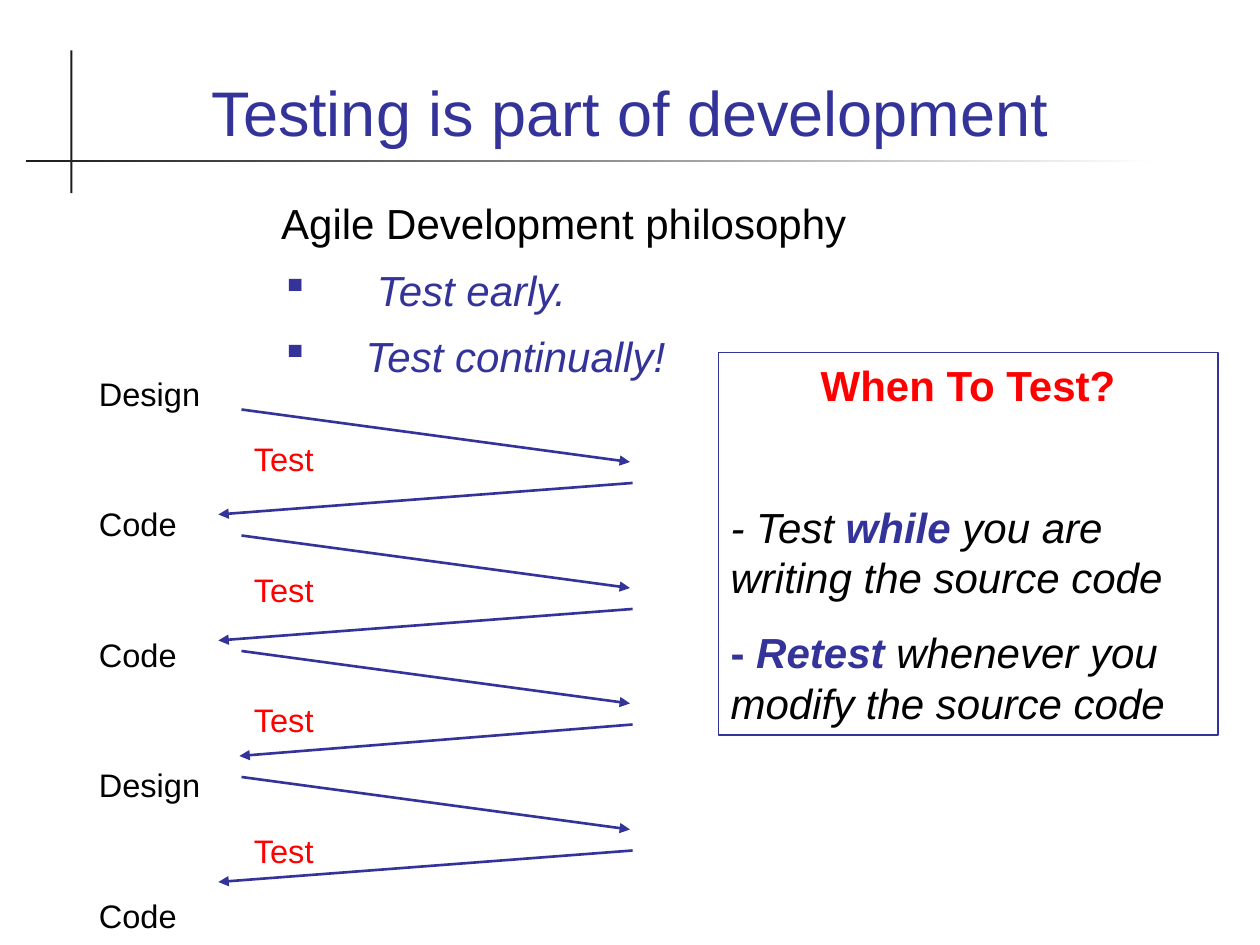
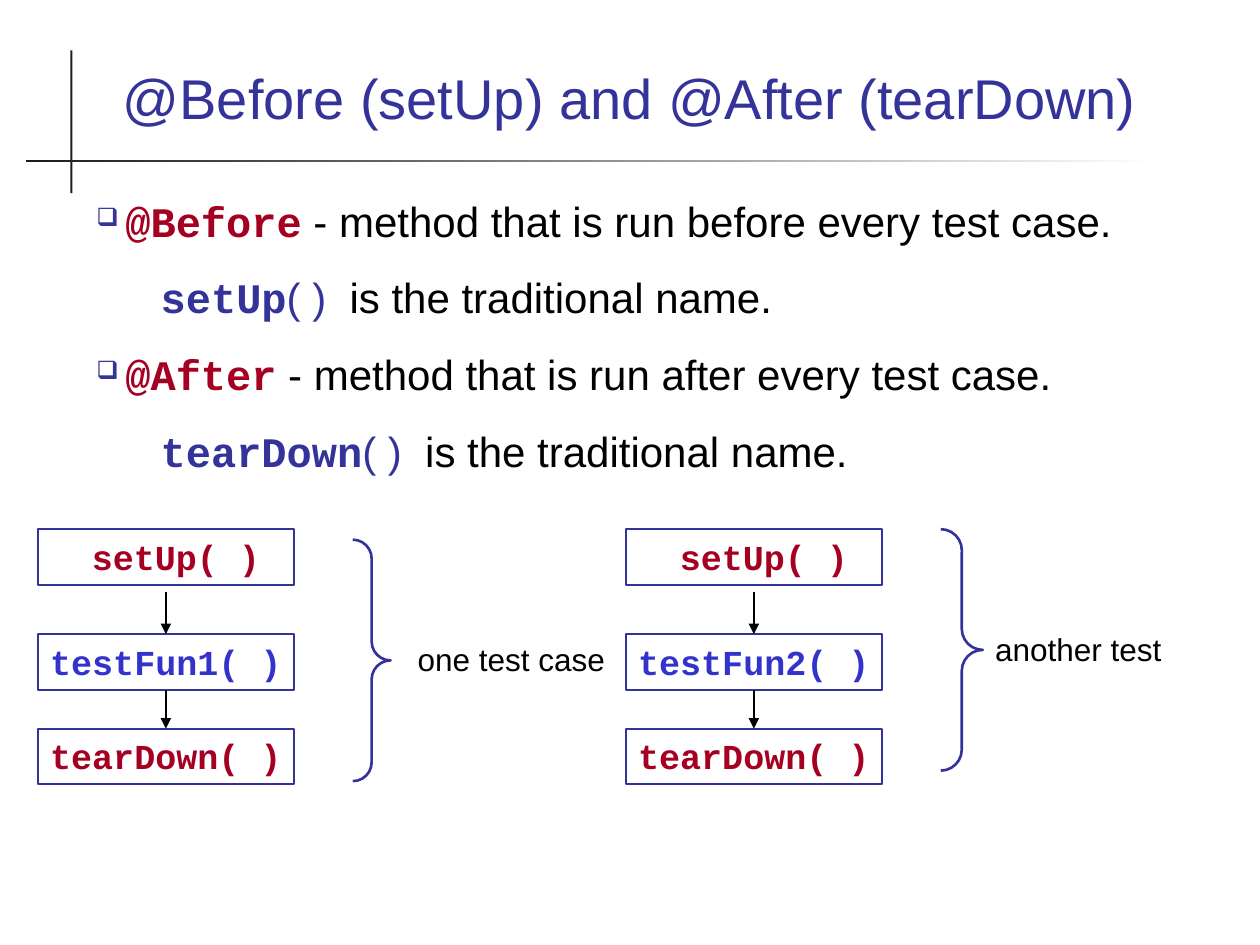
"""Build two slides on testing during development and on test fixtures."""
from dataclasses import dataclass
from typing import NamedTuple, Optional

from lxml import etree
from pptx import Presentation
from pptx.dml.color import RGBColor
from pptx.enum.shapes import MSO_CONNECTOR as Conn, MSO_SHAPE as Shape
from pptx.enum.text import MSO_ANCHOR as Anchor, PP_ALIGN as Align
from pptx.oxml.ns import qn
from pptx.util import Emu, Inches, Pt

COLORS = {
    "ink": "000000", "rule": "1C1C1C", "paper": "FFFFFF", "navy": "333399",
    "blue": "3333CC", "red": "FF0000", "crimson": "A50021",
}
SANS, MONO = "Arial", "Courier New"
COLS, ROWS = 120, 90
WIDTH, HEIGHT = Inches(10), Inches(7.5)


class Box(NamedTuple):
    """Left, top, width and height in grid columns and rows."""
    col: float
    row: float
    cols: float
    rows: float

    def emu(self) -> tuple:
        """Return the box in slide units."""
        return x_at(self.col), y_at(self.row), x_at(self.cols), y_at(self.rows)


class Bullet(NamedTuple):
    """Bullet character and its size in percent of the text."""
    char: str
    percent: int


@dataclass
class Para:
    """Paragraph: (text, format) runs with spacing and indents."""
    runs: list
    align: Align = Align.LEFT
    before: float = 0
    left: float = 0
    hang: float = 0
    bullet: Optional[Bullet] = None


@dataclass
class TestCase:
    """Fixture diagram of one test: its methods, brace and label."""
    col: float
    method: str
    brace: Box
    label: str
    label_box: Box


def x_at(col: float) -> Emu:
    """Convert grid columns to slide units."""
    return Emu(round(WIDTH * col / COLS))


def y_at(row: float) -> Emu:
    """Convert grid rows to slide units."""
    return Emu(round(HEIGHT * row / ROWS))


def rgb(name: str) -> RGBColor:
    """Look up a colour by name."""
    return RGBColor.from_string(COLORS[name])


def add_run(p, text: str, *, size: float = 24, color: str = "ink", font: str = SANS,
            bold: bool = False, italic: bool = False, spacing: float = 0) -> None:
    """Add formatted text to a paragraph."""
    r = p.add_run()
    r.text = text
    f = r.font
    f.size, f.name, f.bold, f.italic = Pt(size), font, bold, italic
    f.color.rgb = rgb(color)
    if spacing:
        f._element.set("spc", str(round(spacing * 100)))


def add_bullet(p_pr, bullet: Bullet) -> None:
    """Give a paragraph a navy bullet."""
    color = etree.SubElement(p_pr, qn("a:buClr"))
    etree.SubElement(color, qn("a:srgbClr"), val=COLORS["navy"])
    etree.SubElement(p_pr, qn("a:buSzPct"), val=str(bullet.percent * 1000))
    etree.SubElement(p_pr, qn("a:buChar"), char=bullet.char)


def fill_text(sp, paras: list, anchor: Anchor = Anchor.TOP) -> None:
    """Write paragraphs into a shape."""
    tf = sp.text_frame
    tf.word_wrap, tf.vertical_anchor = True, anchor
    for i, para in enumerate(paras):
        p = tf.add_paragraph() if i else tf.paragraphs[0]
        p_pr = p._p.get_or_add_pPr()
        p_pr.set("marL", str(Inches(para.left)))
        p_pr.set("indent", str(Inches(-para.hang)))
        if para.bullet:
            add_bullet(p_pr, para.bullet)
        p.alignment = para.align
        if i:
            p.space_before = Pt(para.before)
        for text, fmt in para.runs:
            add_run(p, text, **fmt)


def add_text(s, box: Box, paras: list, anchor: Anchor = Anchor.TOP):
    """Add a text box."""
    sp = s.shapes.add_textbox(*box.emu())
    fill_text(sp, paras, anchor)
    return sp


def add_outline(s, box: Box, width: float, kind: Shape = Shape.RECTANGLE):
    """Add an unfilled shape with a navy line."""
    sp = s.shapes.add_shape(kind, *box.emu())
    sp.shadow.inherit = False
    sp.fill.background()
    sp.line.color.rgb, sp.line.width = rgb("navy"), Pt(width)
    return sp


def add_arrow(s, start: tuple, end: tuple, color: str):
    """Add a line with an arrowhead at its end."""
    c = s.shapes.add_connector(Conn.STRAIGHT, x_at(start[0]), y_at(start[1]),
                               x_at(end[0]), y_at(end[1]))
    c.line.color.rgb, c.line.width = rgb(color), Pt(1.5)
    etree.SubElement(c.line._get_or_add_ln(), qn("a:tailEnd"), type="triangle")
    etree.SubElement(c._element.spPr, qn("a:effectLst"))
    return c


def add_base(prs, title: str, size: float, title_rows: float):
    """Add a slide with the crossed rules and a title."""
    s = prs.slides.add_slide(prs.slide_layouts[6])
    upright, level = (s.shapes.add_shape(Shape.RECTANGLE, *box.emu())
                      for box in (Box(6.7, 4.8, 0.2, 13.6), Box(2.5, 15.24, 107.8, 0.2)))
    for sp in (upright, level):
        sp.shadow.inherit = False
        sp.line.fill.background()
    upright.fill.solid()
    upright.fill.fore_color.rgb = rgb("rule")
    level.fill.gradient()
    level.fill.gradient_angle = 0
    for stop, name in zip(level.fill.gradient_stops, ("rule", "paper")):
        stop.color.rgb = rgb(name)
    heading = Para([(title, dict(size=size, color="navy"))], Align.CENTER)
    add_text(s, Box(8, 3.4, 104, title_rows), [heading], Anchor.BOTTOM)
    return s


def build_development(prs) -> None:
    """Build the slide on testing as part of development."""
    s = add_base(prs, "Testing is part of development", 36, 11.4)
    steps = []
    for name in ("Design", "Code", "Code", "Design", "Code"):
        steps += [Para([(name, dict(size=18.6))], before=15, left=0.02),
                  Para([("Test", dict(size=18.6, color="red"))], before=15, left=1.25)]
    add_text(s, Box(8, 35, 61.6, 52.5), steps[:-1])

    for row, back_col in ((39, 20.8), (51, 20.8), (62, 22.8), (74, 20.8)):
        add_arrow(s, (23, row), (60, row + 5), "navy")
        add_arrow(s, (60.25, row + 7), (back_col, row + 10), "navy")

    plain = dict(italic=True)
    strong = dict(color="navy", bold=True)
    fill_text(add_outline(s, Box(68.4, 33.6, 47.6, 36.4), 0.75), [
        Para([("When To Test?", dict(color="red", bold=True))], Align.CENTER),
        Para([("- Test ", plain), ("while", dict(strong, italic=True)),
              (" you are writing the source code", plain)], before=52.4),
        Para([("- ", strong), ("Retest", dict(strong, italic=True)),
              (" whenever you modify the source code", plain)], before=14.3),
    ])

    square = Bullet("▪", 90)
    motto = dict(color="navy", italic=True)
    add_text(s, Box(25.6, 18.25, 69, 18.6), [
        Para([("Agile Development philosophy", {})]),
        Para([("Test early.", motto)], before=9, left=0.76, hang=0.76, bullet=square),
        Para([("Test continually!", motto)], before=9, left=0.67, hang=0.67, bullet=square),
    ])


def add_test_case(s, case: TestCase) -> None:
    """Draw the method chain of one test with its brace and label."""
    calls = (("setUp( )", "crimson", 0.33, 50.4), (case.method, "blue", 0, 60.4),
             ("tearDown( )", "crimson", 0, 69.4))
    boxes = []
    for name, color, left, row in calls:
        sp = add_outline(s, Box(case.col, row, 24.4, 5.3), 1)
        sp.text_frame.margin_right = 0
        call = dict(size=20, color=color, font=MONO, bold=True)
        fill_text(sp, [Para([(name, call)], left=left)])
        boxes.append(sp)
    middle = case.col + 12.2
    first, second = (add_arrow(s, (middle, row), (middle, row + 4), "ink")
                     for row in (56.4, 65.4))
    first.end_connect(boxes[1], 0)
    second.begin_connect(boxes[1], 2)
    second.end_connect(boxes[2], 0)
    brace = add_outline(s, case.brace, 1.5, Shape.RIGHT_BRACE)
    brace.adjustments[0] = 0.5
    add_text(s, case.label_box, [Para([(case.label, dict(size=18))])])


def build_fixtures(prs) -> None:
    """Build the slide on methods run before and after each test."""
    s = add_base(prs, "@Before (setUp) and @After (tearDown)", 32, 9.6)
    paras = []
    for mark, when, method in (("@Before", "before", "setUp"), ("@After", "after", "tearDown")):
        paras += [
            Para([(mark, dict(color="crimson", font=MONO, bold=True)),
                  (f" - method that is run {when} every test case.", {})],
                 before=15, left=0.23, hang=0.23, bullet=Bullet("❑", 60)),
            Para([(method, dict(color="navy", font=MONO, bold=True)),
                  ("( )", dict(color="navy")), (" ", dict(spacing=6.67)),
                  ("is the traditional name.", {})],
                 before=15, left=0.75, hang=0.24),
        ]
    add_text(s, Box(8, 18, 104, 58.5), paras)
    for case in (
        TestCase(3.6, "testFun1( )", Box(33.6, 51.4, 3.6, 23),
                 "one test case", Box(38.6, 60.4, 23, 4.8)),
        TestCase(59.6, "testFun2( )", Box(89.6, 50.4, 4, 23),
                 "another test", Box(93.6, 59.4, 26, 4.8)),
    ):
        add_test_case(s, case)


def main() -> None:
    """Build and save the presentation."""
    prs = Presentation()
    prs.slide_width, prs.slide_height = WIDTH, HEIGHT
    build_development(prs)
    build_fixtures(prs)
    prs.save("out.pptx")


if __name__ == "__main__":
    main()
